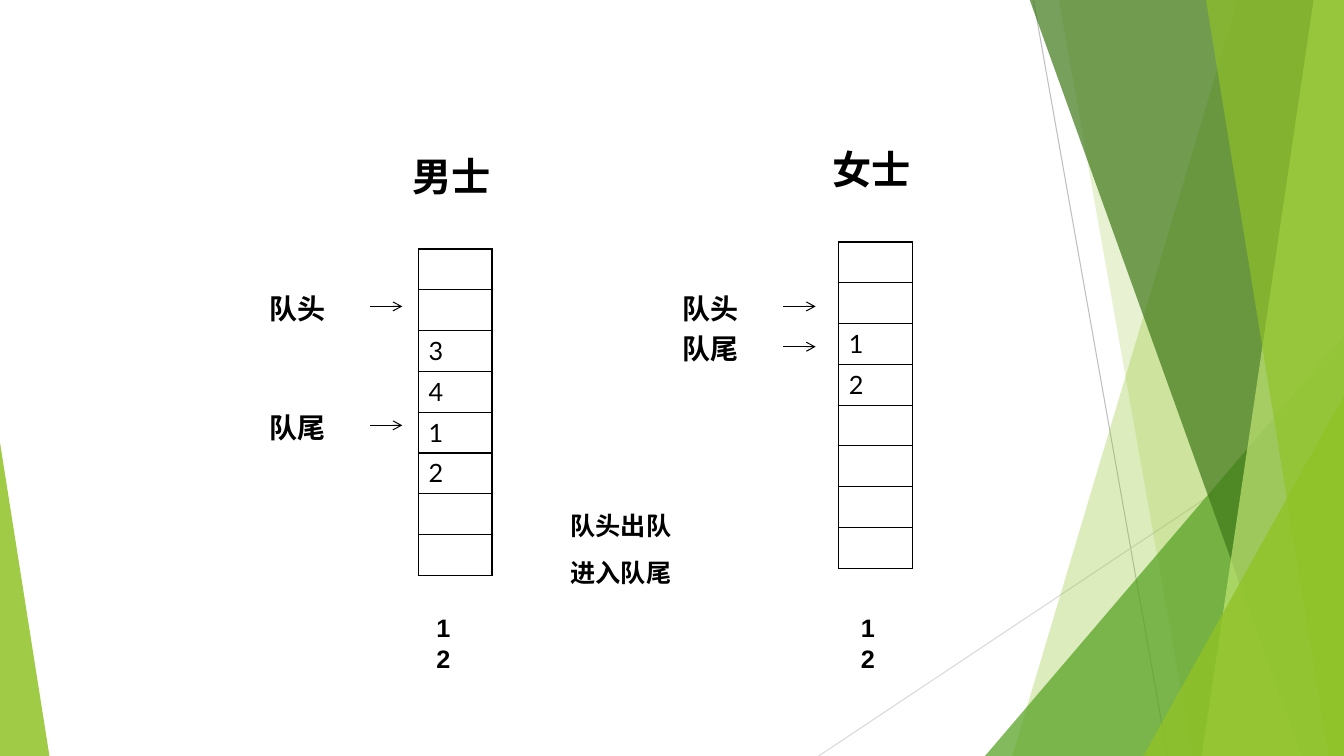
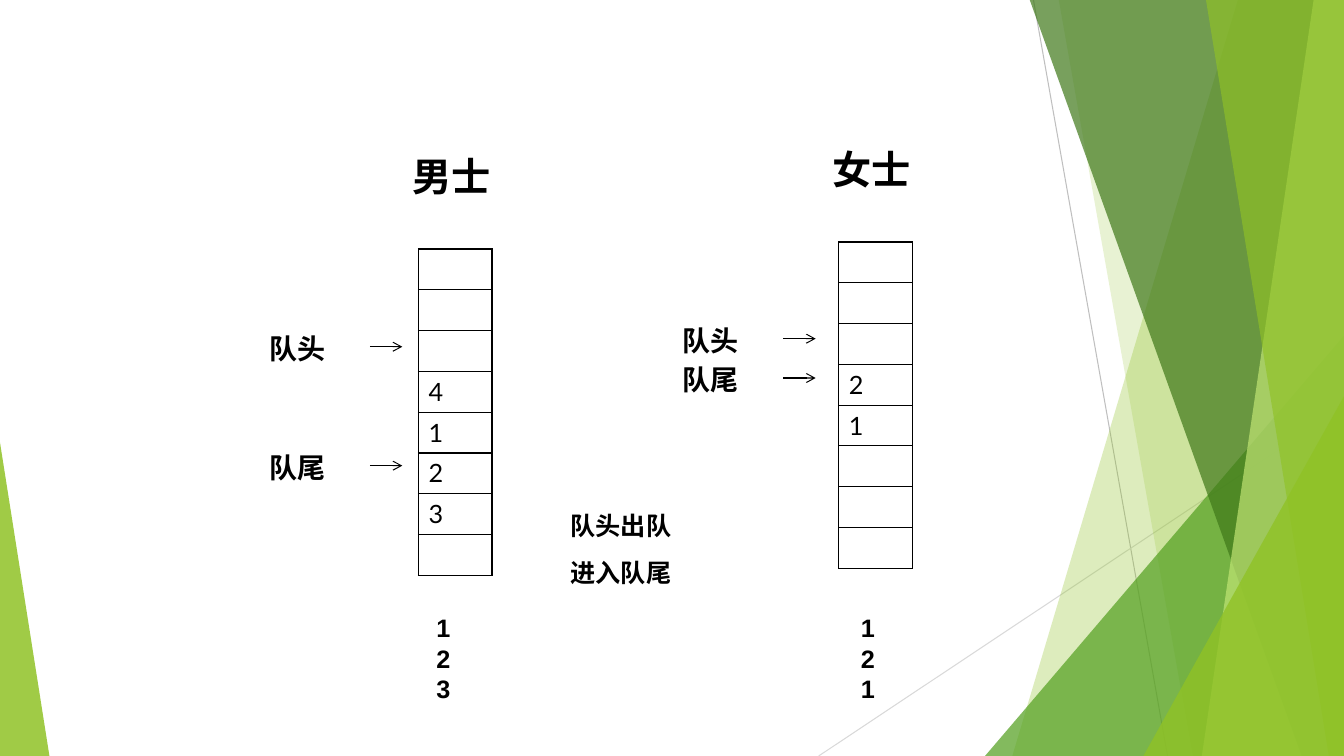
from dataclasses import dataclass

from lxml import etree
from pptx import Presentation
from pptx.dml.color import RGBColor
from pptx.enum import shapes
from pptx.oxml.ns import qn
from pptx.util import Inches, Pt

BLACK = RGBColor(0, 0, 0)
LIME = RGBColor(0x90, 0xC2, 0x26)
PALE_LIME = RGBColor(0xC0, 0xE4, 0x74)
GREEN = RGBColor(0x54, 0xA0, 0x21)
DARK_GREEN = RGBColor(0x3F, 0x78, 0x19)
GREY = RGBColor(0xBF, 0xBF, 0xBF)
LIGHT_GREY = RGBColor(0xD9, 0xD9, 0xD9)

WIDTH, HEIGHT = 13.33, 7.5
ROWS, CELL_W, CELL_H = 8, 0.73, 0.405
TALLY_TOP = 6.03


@dataclass
class Queue:
    title: str
    left: float
    top: float
    pointer_left: float
    tally_left: float


MEN = Queue("男士", 4.15, 2.47, 2.57, 4.23)
WOMEN = Queue("女士", 8.32, 2.4, 6.67, 8.44)


@dataclass
class State:
    """First filled row, its values, the pointers' heights below the queue's top, and the tally."""
    first_row: int
    values: str
    head_y: float
    tail_y: float
    tally: str


ROUNDS = [
    (State(2, "3412", 0.57, 1.75, "12"), State(2, "12", 0.64, 1.04, "12")),
    (State(3, "4123", 0.97, 2.15, "123"), State(3, "21", 0.96, 1.35, "121")),
]


def style_font(p, size, name="Arial", bold=True):
    p.font.size = Pt(size)
    p.font.name = name
    p.font.bold = bold
    p.font.color.rgb = BLACK


def add_text(s, lines, left, top, width, height, size, wrap=True):
    tf = s.shapes.add_textbox(*map(Inches, (left, top, width, height))).text_frame
    tf.word_wrap = wrap
    tf.text = "\n".join(lines)
    for p in tf.paragraphs:
        style_font(p, size)


def add_line(s, x1, y1, x2, y2, color, arrow=False):
    line = s.shapes.add_connector(shapes.MSO_CONNECTOR.STRAIGHT,
                                  *map(Inches, (x1, y1, x2, y2)))
    line.line.color.rgb = color
    line.line.width = Pt(0.75)
    if arrow:
        ln = line.line._get_or_add_ln()
        etree.SubElement(ln, qn("a:tailEnd"), type="arrow")
    etree.SubElement(line.element.spPr, qn("a:effectLst"))


def paint(sp, color, opacity):
    sp.shadow.inherit = False
    sp.fill.solid()
    sp.fill.fore_color.rgb = color
    sp.line.fill.background()
    clr = sp.element.spPr.find(".//" + qn("a:srgbClr"))
    etree.SubElement(clr, qn("a:alpha"), val=str(opacity * 1000))


def add_band(s, top_x, bottom_x, color, opacity):
    """Full-height band from a slanted left edge to the slide's right edge."""
    builder = s.shapes.build_freeform(Inches(top_x), Inches(-0.01))
    corners = [(WIDTH, -0.01), (WIDTH, HEIGHT), (bottom_x, HEIGHT)]
    builder.add_line_segments([(Inches(x), Inches(y)) for x, y in corners])
    paint(builder.convert_to_shape(), color, opacity)


def add_corner(s, left, top, width, apex, color, opacity):
    """Triangle standing on the slide's bottom edge."""
    sp = s.shapes.add_shape(shapes.MSO_SHAPE.ISOSCELES_TRIANGLE,
                            *map(Inches, (left, top, width, HEIGHT - top)))
    sp.adjustments[0] = apex
    paint(sp, color, opacity)


def add_backdrop(s, layout):
    """Draw the green facets and move them to the layout that the slides share."""
    add_line(s, 10.25, 0, 11.58, HEIGHT, GREY)
    add_line(s, WIDTH, 4.03, 8.12, HEIGHT, LIGHT_GREY)
    add_band(s, 12.28, 10.04, LIME, 30)
    add_band(s, 10.5, 11.83, LIME, 20)
    add_corner(s, 9.77, 3.33, 3.56, 1, GREEN, 72)
    add_band(s, 10.21, 12.91, DARK_GREEN, 70)
    add_band(s, 13.03, 11.92, PALE_LIME, 70)
    add_band(s, 11.96, 13.18, LIME, 65)
    add_corner(s, 11.34, 3.93, 1.99, 1, LIME, 80)
    add_corner(s, 0, 4.39, 0.49, 0, LIME, 85)
    for sp in list(s.shapes):
        layout.shapes.element.append(sp.element)


def add_borders(cell):
    tc_pr = cell._tc.get_or_add_tcPr()
    for i, side in enumerate(("lnL", "lnR", "lnT", "lnB")):
        ln = etree.Element(qn("a:" + side), w=str(Pt(1)))
        fill = etree.SubElement(ln, qn("a:solidFill"))
        etree.SubElement(fill, qn("a:srgbClr"), val=str(BLACK))
        tc_pr.insert(i, ln)


def add_cells(s, queue, state):
    box = (queue.left, queue.top, CELL_W, ROWS * CELL_H)
    table = s.shapes.add_table(ROWS, 1, *map(Inches, box)).table
    table.first_row = table.horz_banding = False
    values = dict(enumerate(state.values, state.first_row))
    for row in range(ROWS):
        cell = table.cell(row, 0)
        cell.text = values.get(row, "")
        style_font(cell.text_frame.paragraphs[0], 18, "Lato", False)
        cell.fill.background()
        add_borders(cell)


def add_pointer(s, label, left, y):
    add_line(s, left + 1.1, y, left + 1.42, y, BLACK, arrow=True)
    add_text(s, [label], left, y - 0.2, 0.87, 0.44, 20)


def add_queue(s, queue, state):
    add_cells(s, queue, state)
    add_text(s, [queue.title], queue.left - 0.16, queue.top - 1.01, 1, 0.57, 28, wrap=False)
    add_pointer(s, "队头", queue.pointer_left, queue.top + state.head_y)
    add_pointer(s, "队尾", queue.pointer_left, queue.top + state.tail_y)
    add_text(s, state.tally, queue.tally_left, TALLY_TOP, 0.47,
             0.1 + 0.3 * len(state.tally), 18)


def add_round(s, men, women):
    add_queue(s, WOMEN, women)
    add_queue(s, MEN, men)
    add_text(s, ["队头出队"], 5.56, 5.01, 1.53, 0.4, 18)
    add_text(s, ["进入队尾"], 5.56, 5.48, 1.42, 0.4, 18)


def main():
    prs = Presentation()
    prs.slide_width, prs.slide_height = Inches(WIDTH), Inches(HEIGHT)
    blank = prs.slide_layouts[6]
    slides = [prs.slides.add_slide(blank) for _ in ROUNDS]
    add_backdrop(slides[0], blank)
    for s, (men, women) in zip(slides, ROUNDS):
        add_round(s, men, women)
    prs.save("out.pptx")


if __name__ == "__main__":
    main()
